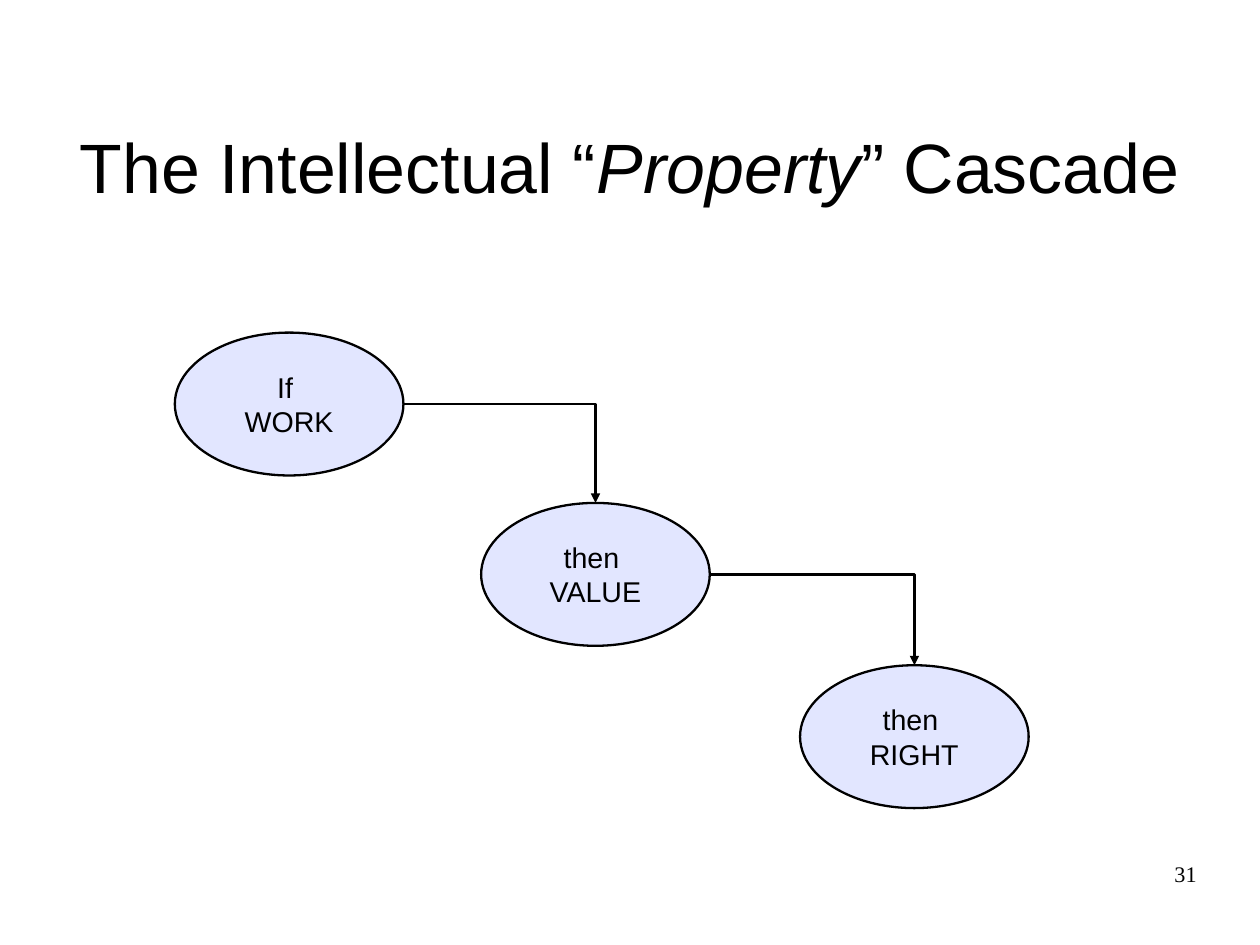
import pptx
import pptx.util
from dataclasses import dataclass
from lxml import etree
from pptx.dml.color import RGBColor
from pptx.enum.shapes import MSO_CONNECTOR, MSO_SHAPE
from pptx.enum.text import MSO_ANCHOR, PP_ALIGN
from pptx.oxml.ns import qn

Inches, Pt = pptx.util.Inches, pptx.util.Pt

# Each paragraph is a list of (text, italic) spans.
TITLE = [[("The Intellectual “", False), ("Property", True), ("” Cascade", False)]]
PAGE_NUMBER = [[("31", False)]]
STEPS = [  # left, top, lines
    (1.53, 2.91, ("If ", "WORK")),
    (4.21, 4.40, ("then ", "VALUE")),
    (7.00, 5.82, ("then ", "RIGHT")),
]
STEP_SIZE = (2, 1.25)
SLIDE_WIDTH_CM, SLIDE_HEIGHT_CM = 28, 21
TITLE_AREA = (0.55, 0.81, 9.92, 1.28)
NUMBER_AREA = (7.9, 7.53, 2.57, 0.57)
OVAL_TOP, OVAL_RIGHT = 0, 6  # connection sites of an ellipse


@dataclass(frozen=True)
class Theme:
    ink: RGBColor = RGBColor(0, 0, 0)
    fill: RGBColor = RGBColor(0xE2, 0xE6, 0xFF)
    sans: str = "Arial"
    serif: str = "Times New Roman"
    title: int = 44
    step: int = 18
    number: int = 14
    line: float = 1.45


THEME = Theme()


def write(shape, paragraphs, size, font, align, anchor, inset=(0, 0)):
    frame = shape.text_frame
    frame.word_wrap = True
    frame.vertical_anchor = anchor
    frame.margin_left = frame.margin_right = Inches(inset[0])
    frame.margin_top = frame.margin_bottom = Inches(inset[1])
    for index, spans in enumerate(paragraphs):
        para = frame.add_paragraph() if index else frame.paragraphs[0]
        para.alignment = align
        for text, italic in spans:
            span = para.add_run()
            span.text = text
            span.font.size, span.font.name = Pt(size), font
            span.font.italic = italic
            span.font.color.rgb = THEME.ink


def outline(shape):
    shape.line.color.rgb = THEME.ink
    shape.line.width = Pt(THEME.line)


def add_step(page, left, top, lines):
    oval = page.shapes.add_shape(
        MSO_SHAPE.OVAL, *map(Inches, (left, top, *STEP_SIZE)))
    oval.shadow.inherit = False
    oval.fill.solid()
    oval.fill.fore_color.rgb = THEME.fill
    outline(oval)
    write(oval, [[(line, False)] for line in lines], THEME.step, THEME.sans,
          PP_ALIGN.CENTER, MSO_ANCHOR.MIDDLE, (0.11, 0.06))
    return oval


def add_cascade_arrow(page, source, target):
    """Run right from the source, then down onto the target's top."""
    arrow = page.shapes.add_connector(
        MSO_CONNECTOR.ELBOW,
        source.left + source.width, source.top + source.height // 2,
        target.left + target.width // 2, target.top)
    outline(arrow)
    properties = arrow._element.spPr
    properties.find(qn("a:prstGeom")).set("prst", "bentConnector2")
    etree.SubElement(properties.find(qn("a:ln")), qn("a:tailEnd"), type="triangle")
    etree.SubElement(properties, qn("a:effectLst"))
    joints = arrow._element.find(qn("p:nvCxnSpPr")).find(qn("p:cNvCxnSpPr"))
    for tag, oval, site in (("a:stCxn", source, OVAL_RIGHT),
                            ("a:endCxn", target, OVAL_TOP)):
        etree.SubElement(joints, qn(tag), id=str(oval.shape_id), idx=str(site))


def main():
    deck = pptx.Presentation()
    deck.slide_width = pptx.util.Cm(SLIDE_WIDTH_CM)
    deck.slide_height = pptx.util.Cm(SLIDE_HEIGHT_CM)
    page = deck.slides.add_slide(deck.slide_layouts[6])

    title = page.shapes.add_textbox(*map(Inches, TITLE_AREA))
    write(title, TITLE, THEME.title, THEME.sans, PP_ALIGN.CENTER, MSO_ANCHOR.MIDDLE)

    ovals = [add_step(page, *step) for step in STEPS]
    for source, target in zip(ovals, ovals[1:]):
        add_cascade_arrow(page, source, target)

    number = page.shapes.add_textbox(*map(Inches, NUMBER_AREA))
    write(number, PAGE_NUMBER, THEME.number, THEME.serif, PP_ALIGN.RIGHT, MSO_ANCHOR.TOP)
    deck.save("out.pptx")


if __name__ == "__main__":
    main()
